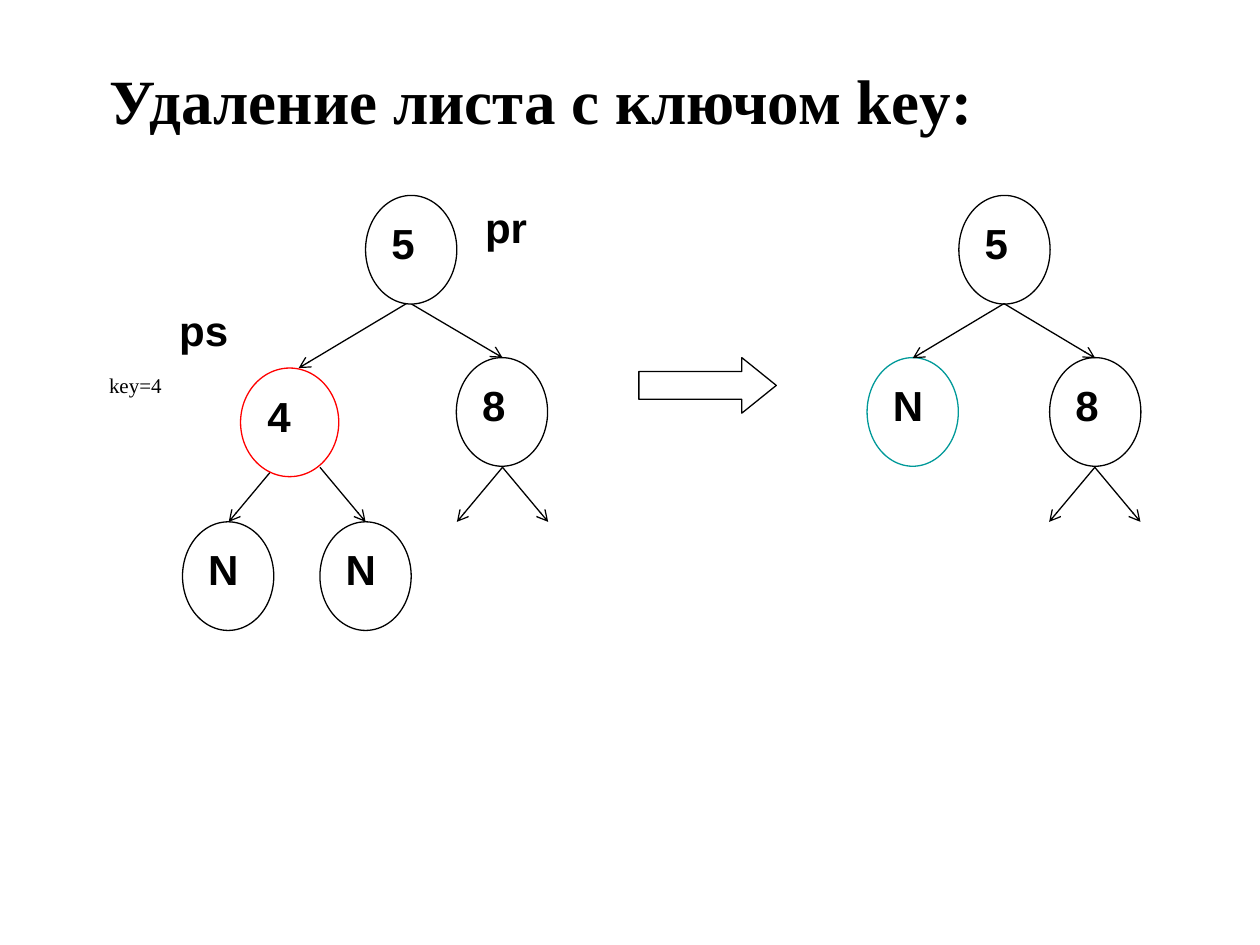
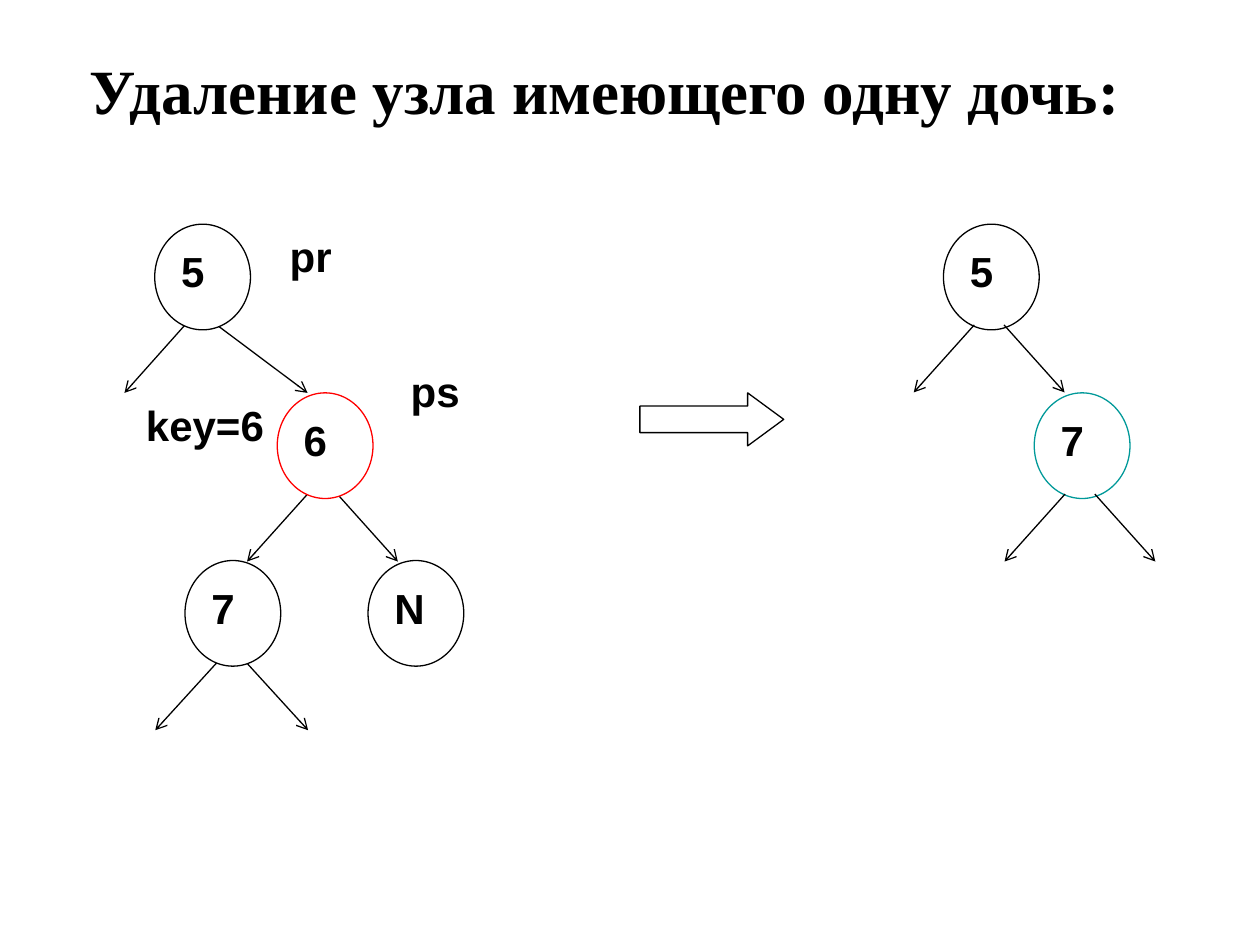
from lxml.etree import SubElement
from pptx import Presentation
from pptx.dml.color import RGBColor
from pptx.enum.shapes import MSO_CONNECTOR, MSO_SHAPE
from pptx.enum.text import MSO_ANCHOR, MSO_AUTO_SIZE, PP_ALIGN
from pptx.oxml.ns import qn
from pptx.util import Cm, Pt

BLACK = RGBColor(0x00, 0x00, 0x00)
WHITE = RGBColor(0xFF, 0xFF, 0xFF)
RED = RGBColor(0xFF, 0x00, 0x00)
TEAL = RGBColor(0x00, 0x99, 0x99)
SANS, SERIF = "Arial", "Times New Roman"
LEFT, RIGHT = PP_ALIGN.LEFT, PP_ALIGN.RIGHT
TITLE_HEIGHT = 1.78

# All places are in centimetres.
# node: key, left, top, line colour, extra width
# fan (two child arrows): middle, top, half gap at the top, half spread at the bottom
# link (single arrow): start x, start y, end x, end y
# label: text, left, top, width, height, alignment, font, size, bold
SLIDES = [
    {
        "title": ("Удаление листа с ключом key:", 1.96, 1.12, 18.08),
        "node_size": (1.84, 2.19),
        "fan_height": 1.1,
        "before": {
            "nodes": [
                ("5", 7.37, 3.94, BLACK, 0),
                ("4", 4.85, 7.42, RED, 0.14),
                ("8", 9.2, 7.21, BLACK, 0),
                ("N", 3.68, 10.52, BLACK, 0),
                ("N", 6.45, 10.52, BLACK, 0),
            ],
            "fans": [(10.13, 9.42, 0, 0.92), (5.99, 9.42, 0.46, 1.38)],
            "links": [(8.36, 6.02, 6.02, 7.42), (8.28, 6.12, 10.13, 7.21)],
        },
        "after": {
            "nodes": [
                ("5", 19.33, 3.94, BLACK, 0),
                ("N", 17.48, 7.21, TEAL, 0),
                ("8", 21.16, 7.21, BLACK, 0),
            ],
            "fans": [(20.24, 6.12, 0, 1.84), (22.07, 9.42, 0, 0.92)],
        },
        "block_arrow": (12.88, 7.21, 2.77, 1.12, 0.62),
        "labels": [
            ("pr", 9.53, 3.94, 2.34, 2.08, LEFT, SANS, 24, True),
            ("key=4", 0, 7.39, 3.51, 2.08, RIGHT, SERIF, 12, False),
            ("ps", 2.51, 6.02, 2.34, 1.12, RIGHT, SANS, 24, True),
        ],
    },
    {
        "title": ("Удаление узла имеющего одну дочь:", 1.55, 0.91, 21.49),
        "node_size": (1.93, 2.13),
        "fan_height": 1.36,
        "before": {
            "nodes": [
                ("5", 3.12, 4.52, BLACK, 0),
                ("6", 5.59, 7.92, RED, 0),
                ("7", 3.73, 11.3, BLACK, 0),
                ("N", 7.42, 11.3, BLACK, 0),
            ],
            "fans": [(6.5, 9.96, 0.3, 1.52), (4.67, 13.36, 0.3, 1.54)],
            "links": [(3.73, 6.55, 2.51, 7.92), (4.37, 6.55, 6.2, 7.92)],
        },
        "after": {
            "nodes": [
                ("5", 19.02, 4.52, BLACK, 0),
                ("7", 20.85, 7.92, TEAL, 0),
            ],
            "fans": [(19.94, 6.55, 0.3, 1.52), (21.77, 9.96, 0.3, 1.52)],
        },
        "block_arrow": (12.9, 7.92, 2.9, 1.07, 0.68),
        "labels": [
            ("pr", 5.59, 4.52, 2.44, 2.03, LEFT, SANS, 24, True),
            ("key=6", 1.3, 7.92, 4.27, 2.03, RIGHT, SANS, 24, True),
            ("ps", 8.03, 7.24, 2.44, 2.03, LEFT, SANS, 24, True),
        ],
    },
]


def lengths(*values):
    return [Cm(value) for value in values]


def write(shape, text, align=LEFT, font=SANS, size=24, bold=True):
    frame = shape.text_frame
    frame.word_wrap = True
    frame.vertical_anchor = MSO_ANCHOR.TOP
    para = frame.paragraphs[0]
    para.text = text
    para.alignment = align
    para.font.name = font
    para.font.size = Pt(size)
    para.font.bold = bold
    para.font.color.rgb = BLACK


def add_title(page, text, left, top, width):
    box = page.shapes.add_textbox(*lengths(left, top, width, TITLE_HEIGHT))
    write(box, text, PP_ALIGN.JUSTIFY, SERIF, 36)
    frame = box.text_frame
    frame.word_wrap = False
    frame.vertical_anchor = MSO_ANCHOR.MIDDLE
    frame.auto_size = MSO_AUTO_SIZE.SHAPE_TO_FIT_TEXT


def add_outlined(page, kind, box, colour):
    shape = page.shapes.add_shape(kind, *lengths(*box))
    shape.shadow.inherit = False
    shape.fill.solid()
    shape.fill.fore_color.rgb = WHITE
    shape.line.color.rgb = colour
    shape.line.width = Pt(0.75)
    return shape


def add_link(page, *ends):
    link = page.shapes.add_connector(MSO_CONNECTOR.STRAIGHT, *lengths(*ends))
    link.line.color.rgb = BLACK
    link.line.width = Pt(0.75)
    SubElement(link.line._get_or_add_ln(), qn("a:tailEnd"), type="arrow")
    SubElement(link._element.spPr, qn("a:effectLst"))


def add_nodes(page, tree, node_size):
    width, height = node_size
    for key, left, top, colour, extra in tree["nodes"]:
        box = (left, top, width + extra, height)
        write(add_outlined(page, MSO_SHAPE.OVAL, box, colour), key)


def add_links(page, tree, fan_height):
    for ends in tree.get("links", []):
        add_link(page, *ends)
    for middle, top, gap, spread in tree["fans"]:
        for side in (-1, 1):
            add_link(page, middle + side * gap, top,
                     middle + side * spread, top + fan_height)


def add_slide(deck, content):
    page = deck.slides.add_slide(deck.slide_layouts[6])
    add_title(page, *content["title"])

    # Nodes cover the arrow starts on the left; arrows lie on top on the right.
    add_links(page, content["before"], content["fan_height"])
    add_nodes(page, content["before"], content["node_size"])
    add_nodes(page, content["after"], content["node_size"])
    add_links(page, content["after"], content["fan_height"])

    *box, head = content["block_arrow"]
    block_arrow = add_outlined(page, MSO_SHAPE.RIGHT_ARROW, box, BLACK)
    block_arrow.adjustments[1] = head

    for text, left, top, width, height, *style in content["labels"]:
        label = page.shapes.add_textbox(*lengths(left, top, width, height))
        write(label, text, *style)


def main():
    deck = Presentation()
    deck.slide_width, deck.slide_height = lengths(25.4, 19.05)
    for content in SLIDES:
        add_slide(deck, content)
    deck.save("out.pptx")


if __name__ == "__main__":
    main()
